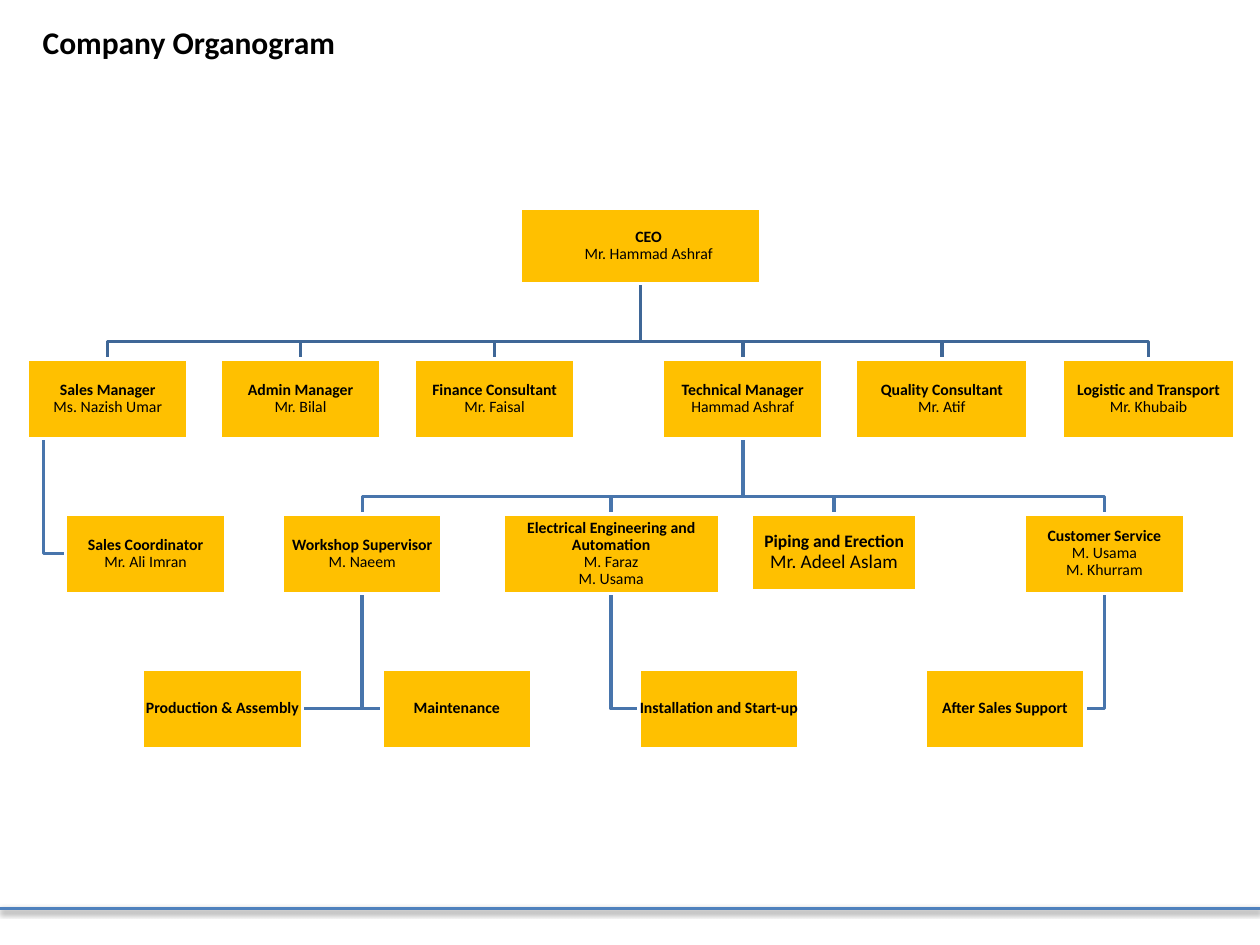
from dataclasses import dataclass

from lxml import etree
from pptx import Presentation
from pptx.dml.color import RGBColor as Rgb
from pptx.enum.shapes import MSO_CONNECTOR as Conn, MSO_SHAPE as Kind
from pptx.enum.text import MSO_ANCHOR as Anchor, PP_ALIGN as Align
from pptx.oxml import parse_xml
from pptx.oxml.ns import nsdecls, qn
from pptx.util import Inches, Pt


@dataclass(frozen=True)
class Theme:
    font: str = "Calibri"
    ink: str = "000000"
    box: str = "FFC000"
    edge: str = "FFFFFF"
    top: str = "3F6797"
    low: str = "4875AC"
    rule: str = "4F81BD"
    title: int = 18
    body: int = 9
    line: int = 2


@dataclass(frozen=True)
class Post:
    """A place in the chart, in grid columns and rows."""
    x: float
    y: float
    w: float
    h: float
    role: str
    names: tuple
    sizes: tuple
    pad: float

    @property
    def mid(self):
        return self.x + self.w / 2

    @property
    def end(self):
        return self.y + self.h


COLS, ROWS = 100, 75
LEVELS = (16.5, 28.5, 40.8, 53.1)
BUS_GAP = 1.4


def post(x, level, role, *names, w=12.7, h=6.3, sizes=(9, 9), pad=0.05):
    return Post(x, LEVELS[level], w, h, role, names, sizes, pad)


def write(frame, lines, font="Calibri", color="000000", align=Align.LEFT,
          anchor=Anchor.TOP, spacing=1.0):
    """Set lines of (text, size, bold) as one paragraph."""
    frame.word_wrap = True
    frame.vertical_anchor = anchor
    para = frame.paragraphs[0]
    para.alignment, para.line_spacing = align, spacing
    for i, (text, size, bold) in enumerate(lines):
        if i:
            para.add_line_break()
        run = para.add_run()
        run.text = text
        run.font.name, run.font.size, run.font.bold = font, Pt(size), bold
        run.font.color.rgb = Rgb.from_string(color)


class Deck:
    def __init__(self, theme):
        self.theme = theme
        self.prs = Presentation()
        self.prs.slide_width, self.prs.slide_height = Inches(10), Inches(7.5)
        self.slide = self.prs.slides.add_slide(self.prs.slide_layouts[6])
        self.shapes = self.slide.shapes

    def col(self, n):
        return round(self.prs.slide_width * n / COLS)

    def row(self, n):
        return round(self.prs.slide_height * n / ROWS)

    def area(self, x, y, w, h):
        return self.col(x), self.row(y), self.col(w), self.row(h)

    def stroke(self, line, color):
        line.color.rgb = Rgb.from_string(color)
        line.width = Pt(self.theme.line)

    def title(self, text):
        box = self.shapes.add_textbox(*self.area(2.4, 1.3, 65.2, 7.1))
        write(box.text_frame, [(text, self.theme.title, True)],
              font=self.theme.font, color=self.theme.ink)

    def rule(self, y):
        line = self.shapes.add_connector(
            Conn.STRAIGHT, 0, self.row(y), self.col(COLS), self.row(y))
        self.stroke(line.line, self.theme.rule)
        props = line._element.find(qn("p:spPr"))
        props.append(parse_xml(
            f'<a:effectLst {nsdecls("a")}><a:outerShdw blurRad="40000" '
            'dist="20000" dir="5400000" rotWithShape="0"><a:srgbClr val="000000">'
            '<a:alpha val="38000"/></a:srgbClr></a:outerShdw></a:effectLst>'))

    def route(self, points, color):
        spots = [(self.col(x), self.row(y)) for x, y in points]
        pen = self.shapes.build_freeform(*spots[0])
        pen.add_line_segments(spots[1:], close=False)
        line = pen.convert_to_shape()
        line.fill.background()
        line.shadow.inherit = False
        self.stroke(line.line, color)

    def drop(self, boss, staff, color):
        """Join the foot of one box to the head of another."""
        bus = staff.y - BUS_GAP
        self.route([(boss.mid, boss.end), (boss.mid, bus),
                    (staff.mid, bus), (staff.mid, staff.y)], color)

    def hook(self, boss, staff, share=0.5):
        """Join the foot of one box to the near side of another."""
        x, y = boss.x + boss.w * share, staff.y + staff.h / 2
        side = staff.x if staff.mid > x else staff.x + staff.w
        self.route([(x, boss.end), (x, y), (side, y)], self.theme.low)

    def box(self, item):
        shape = self.shapes.add_shape(
            Kind.RECTANGLE, *self.area(item.x, item.y, item.w, item.h))
        shape.shadow.inherit = False
        shape.fill.solid()
        shape.fill.fore_color.rgb = Rgb.from_string(self.theme.box)
        self.stroke(shape.line, self.theme.edge)
        frame = shape.text_frame
        frame.margin_left = self.col(item.pad)
        frame.margin_right = self.col(0.05)
        frame.margin_top = frame.margin_bottom = self.row(0.05)
        head, size = item.sizes
        lines = [(item.role, head, True)]
        lines += [(name, size, False) for name in item.names]
        write(frame, lines, font=self.theme.font, color=self.theme.ink,
              align=Align.CENTER, anchor=Anchor.MIDDLE, spacing=0.9)


def main():
    theme = Theme()
    deck = Deck(theme)

    # Posts, level by level
    ceo = post(41.3, 0, "CEO", "Mr. Hammad Ashraf", w=19.1, h=6, pad=1.3)
    sales = post(2.2, 1, "Sales Manager", "Ms. Nazish Umar")
    tech = post(52.6, 1, "Technical Manager", "Hammad Ashraf")
    heads = [
        sales,
        post(17.5, 1, "Admin Manager", "Mr. Bilal"),
        post(32.9, 1, "Finance Consultant", "Mr. Faisal"),
        tech,
        post(67.9, 1, "Quality Consultant", "Mr. Atif", w=13.7),
        post(84.3, 1, "Logistic and Transport", "Mr. Khubaib", w=13.7),
    ]
    aide = post(5.2, 2, "Sales Coordinator", "Mr. Ali Imran")
    shop = post(22.4, 2, "Workshop Supervisor", "M. Naeem")
    power = post(39.9, 2, "Electrical Engineering and Automation",
                 "M. Faraz", "M. Usama", w=17.2)
    pipes = post(59.6, 2, "Piping and Erection", "Mr. Adeel Aslam",
                 w=13.2, h=6.1, sizes=(10, 11))
    care = post(81.3, 2, "Customer Service", "M. Usama", "M. Khurram")
    crews = [shop, power, pipes, care]
    tasks = [
        (shop, post(11.3, 3, "Production & Assembly")),
        (shop, post(30.3, 3, "Maintenance", w=11.9)),
        (power, post(50.7, 3, "Installation and Start-up")),
        (care, post(73.4, 3, "After Sales Support")),
    ]

    # Frame of the slide
    deck.rule(72.1)
    deck.title("Company Organogram")

    # Lines, behind the boxes
    for crew in crews:
        deck.drop(tech, crew, theme.low)
    for boss, task in tasks:
        deck.hook(boss, task)
    deck.hook(sales, aide, share=0.1)
    for head in heads:
        deck.drop(ceo, head, theme.top)

    # Boxes
    for item in [ceo, *heads, aide, *crews, *(task for _, task in tasks)]:
        deck.box(item)

    deck.prs.save("out.pptx")


if __name__ == "__main__":
    main()
